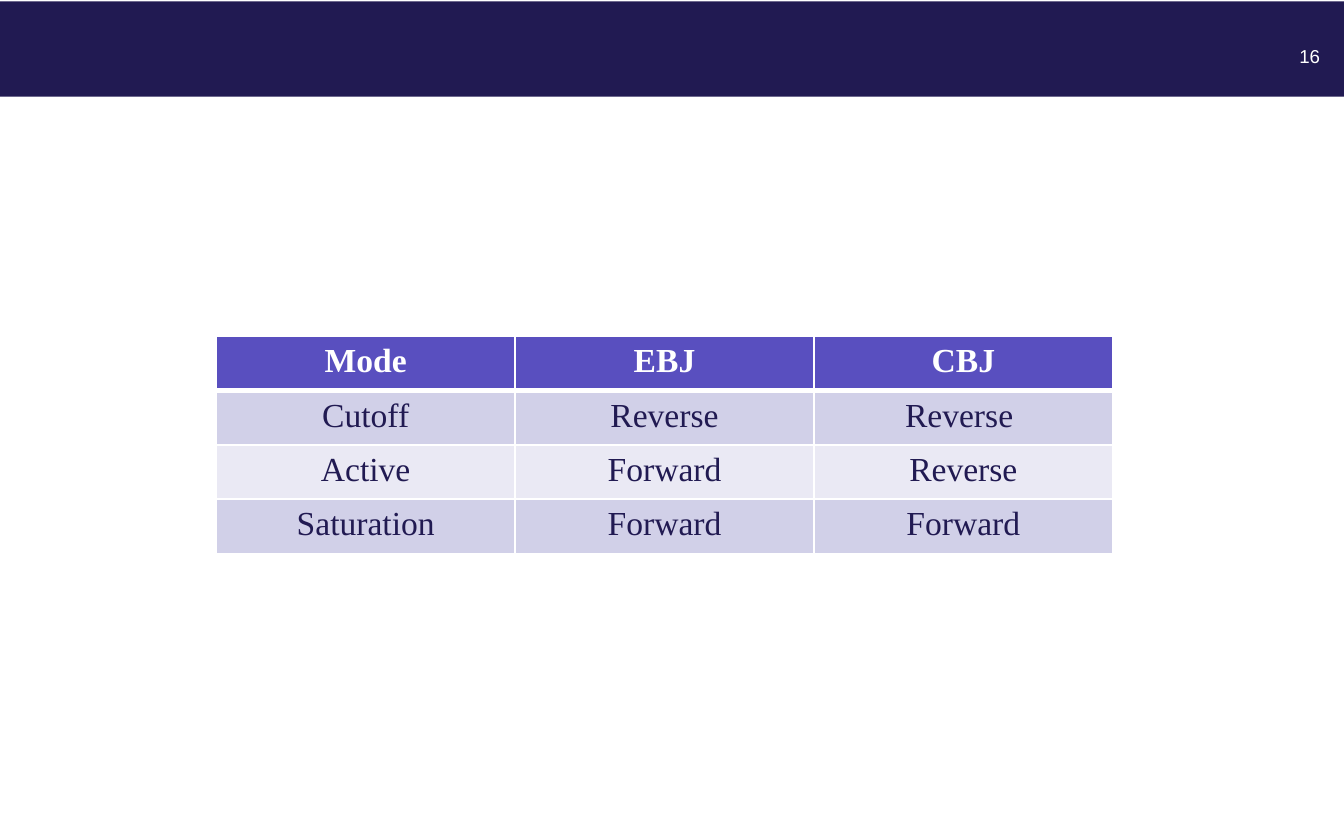
"""Build the slide with the table of transistor operating modes."""
from dataclasses import dataclass

from lxml import etree
from pptx import Presentation
from pptx.dml.color import RGBColor
from pptx.enum.shapes import MSO_SHAPE
from pptx.enum.text import MSO_ANCHOR, PP_ALIGN
from pptx.oxml.ns import qn
from pptx.util import Inches, Pt

RECTANGLE = MSO_SHAPE.RECTANGLE
MIDDLE = MSO_ANCHOR.MIDDLE
CENTER, RIGHT = PP_ALIGN.CENTER, PP_ALIGN.RIGHT
BLANK_LAYOUT = 6


@dataclass(frozen=True)
class Theme:
    navy: str = "211A52"
    white: str = "FFFFFF"
    header: str = "594FBF"
    bands: tuple = ("D1D0E8", "EAE9F4")
    number_font: str = "Arial"
    table_font: str = "Times New Roman"
    number_size: int = 10
    table_size: int = 18
    thin: int = 1
    thick: int = 3


MODES = [
    ["Mode", "EBJ", "CBJ"],
    ["Cutoff", "Reverse", "Reverse "],
    ["Active", "Forward", "Reverse"],
    ["Saturation", "Forward", "Forward"],
]


class SlideBuilder:
    def __init__(self, slide, theme):
        self.slide = slide
        self.theme = theme

    def paint(self, target, color):
        target.fill.solid()
        target.fill.fore_color.rgb = RGBColor.from_string(color)

    def add_text(self, para, text, font, size, color, align, bold=False):
        para.alignment = align
        span = para.add_run()
        span.text = text
        span.font.name = font
        span.font.size = Pt(size)
        span.font.bold = bold
        span.font.color.rgb = RGBColor.from_string(color)

    def banner(self, left, top, width, height):
        shape = self.slide.shapes.add_shape(RECTANGLE, left, top, width, height)
        shape.shadow.inherit = False
        shape.line.fill.background()
        self.paint(shape, self.theme.navy)

    def page_number(self, text, left, top, width, height):
        box = self.slide.shapes.add_textbox(left, top, width, height)
        frame = box.text_frame
        frame.word_wrap = True
        frame.vertical_anchor = MIDDLE
        self.add_text(frame.paragraphs[0], text, self.theme.number_font,
                      self.theme.number_size, self.theme.white, RIGHT)

    def borders(self, cell, widths):
        properties = cell._tc.get_or_add_tcPr()
        for index, (side, width) in enumerate(widths.items()):
            line = etree.Element(qn(f"a:ln{side}"), w=str(Pt(width)))
            solid = etree.SubElement(line, qn("a:solidFill"))
            etree.SubElement(solid, qn("a:srgbClr"), val=self.theme.white)
            properties.insert(index, line)

    def table(self, rows, left, top, width, height):
        theme = self.theme
        table = self.slide.shapes.add_table(
            len(rows), len(rows[0]), left, top, width, height).table
        for row_index, row in enumerate(rows):
            is_header = row_index == 0
            background = theme.header if is_header else theme.bands[(row_index - 1) % 2]
            color = theme.white if is_header else theme.navy
            widths = {
                "L": theme.thin,
                "R": theme.thin,
                "T": theme.thick if row_index == 1 else theme.thin,
                "B": theme.thick if is_header else theme.thin,
            }
            for column_index, text in enumerate(row):
                cell = table.cell(row_index, column_index)
                self.paint(cell, background)
                self.borders(cell, widths)
                self.add_text(cell.text_frame.paragraphs[0], text, theme.table_font,
                              theme.table_size, color, CENTER, is_header)


def main():
    deck = Presentation()
    deck.slide_width, deck.slide_height = Inches(10), Inches(6.25)
    page = deck.slides.add_slide(deck.slide_layouts[BLANK_LAYOUT])
    builder = SlideBuilder(page, Theme())
    builder.banner(Inches(0), Inches(0.01), deck.slide_width, Inches(0.71))
    builder.page_number("16", Inches(9.4), Inches(0.25), Inches(0.52), Inches(0.33))
    builder.table(MODES, Inches(1.61), Inches(2.5), Inches(6.67), Inches(1.62))
    deck.save("out.pptx")


if __name__ == "__main__":
    main()
